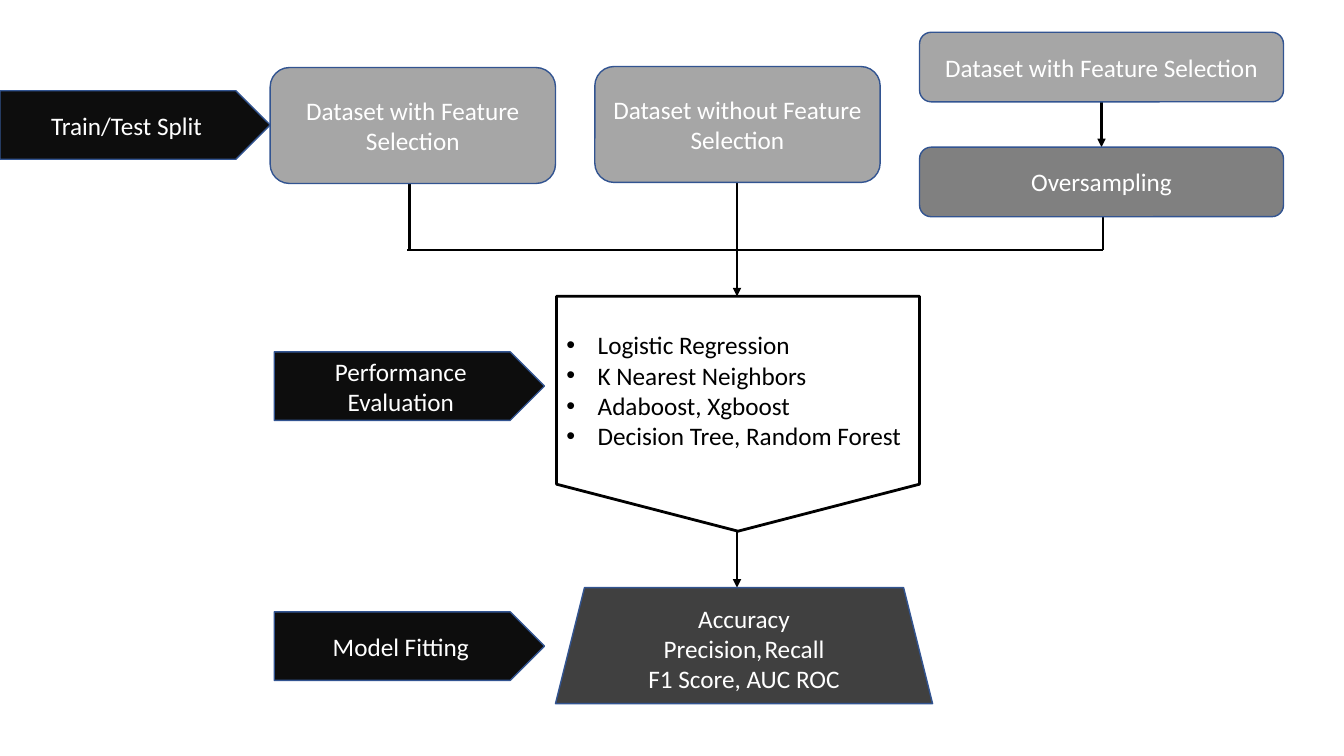
from lxml import etree
from pptx import Presentation
from pptx import util as u
from pptx.dml.color import RGBColor
from pptx.enum import shapes, text
from pptx.oxml.ns import qn

WIDTH, HEIGHT = 13.33, 7.5
COLORS = {"black": "000000", "white": "FFFFFF", "stage": "0D0D0D", "dataset": "A6A6A6",
          "sampling": "808080", "metrics": "404040", "outline": "325491"}
FONT, FONT_SIZE = "Calibri", 18
BULLET_INDENT = 0.31

# Sizes (width, height) in inches
STAGE, DATASET, STRIP = (2.68, 0.68), (2.83, 1.15), (3.61, 0.69)
MODELS, METRICS = (3.6, 2.33), (3.74, 1.15)

# Columns and rows of the flow
MID_X, JOIN_Y = 7.31, 2.48
LEFT_X, RIGHT_X = 4.06, 10.94
DATASET_Y, STRIP_X, STRIP_Y, STRIP_STEP = 0.66, 9.12, 0.32, 1.14
MODELS_Y, METRICS_Y = 2.94, 5.83
STAGE_X = 2.72

KIND = shapes.MSO_SHAPE
# kind, left, top, size, fill, lines of text
BOXES = [
    (KIND.ROUNDED_RECTANGLE, STAGE[0], DATASET_Y + 0.01, DATASET, "dataset",
     ["Dataset with Feature Selection"]),
    (KIND.ROUNDED_RECTANGLE, 5.9, DATASET_Y, DATASET, "dataset",
     ["Dataset without Feature Selection"]),
    (KIND.ROUNDED_RECTANGLE, STRIP_X, STRIP_Y, STRIP, "dataset",
     ["Dataset with Feature Selection"]),
    (KIND.ROUNDED_RECTANGLE, STRIP_X, STRIP_Y + STRIP_STEP, STRIP, "sampling",
     ["Oversampling"]),
    (KIND.TRAPEZOID, 5.51, METRICS_Y, METRICS, "metrics",
     ["Accuracy", "Precision,\tRecall", "F1 Score, AUC ROC"]),
    (KIND.PENTAGON, 0, 0.9, STAGE, "stage", ["Train/Test Split"]),
    (KIND.PENTAGON, STAGE_X, 3.49, STAGE, "stage", ["Performance Evaluation"]),
    (KIND.PENTAGON, STAGE_X, 6.07, STAGE, "stage", ["Model Fitting"]),
]
MODEL_NAMES = ["Logistic Regression", "K Nearest Neighbors", "Adaboost, Xgboost",
               "Decision Tree, Random Forest"]

DATASET_END = DATASET_Y + DATASET[1]
STRIP_MID = STRIP_X + STRIP[0] / 2
# x1, y1, x2, y2, has arrowhead
LINES = [
    (MID_X, 2.31, MID_X, MODELS_Y, True),
    (MID_X, MODELS_Y + MODELS[1], MID_X, METRICS_Y, True),
    (STRIP_MID, STRIP_Y + STRIP[1], STRIP_MID, STRIP_Y + STRIP_STEP, True),
    (LEFT_X, DATASET_END, LEFT_X, JOIN_Y, False),
    (MID_X, DATASET_END, MID_X, JOIN_Y, False),
    (RIGHT_X, STRIP_Y + STRIP_STEP + STRIP[1], RIGHT_X, JOIN_Y, False),
    (RIGHT_X, JOIN_Y, LEFT_X - 0.02, JOIN_Y, False),
]


def rgb(name):
    return RGBColor.from_string(COLORS[name])


def add_line(slide, x1, y1, x2, y2, arrow):
    ln = slide.shapes.add_connector(shapes.MSO_CONNECTOR.STRAIGHT,
                                    *map(u.Inches, (x1, y1, x2, y2)))
    ln.line.color.rgb = rgb("black")
    ln.line.width = u.Pt(2)
    sp_pr = ln._element.spPr
    etree.SubElement(sp_pr, qn("a:effectLst"))
    if arrow:
        etree.SubElement(sp_pr.find(qn("a:ln")), qn("a:tailEnd"), type="triangle")


def add_box(slide, kind, left, top, size, fill, lines, line="outline", line_width=1,
            color="white", align=text.PP_ALIGN.CENTER):
    sp = slide.shapes.add_shape(kind, *map(u.Inches, (left, top, *size)))
    sp.shadow.inherit = False
    sp.fill.solid()
    sp.fill.fore_color.rgb = rgb(fill)
    sp.line.color.rgb = rgb(line)
    sp.line.width = u.Pt(line_width)
    tf = sp.text_frame
    tf.word_wrap = True
    tf.vertical_anchor = text.MSO_ANCHOR.MIDDLE
    tf.text = "\n".join(lines)
    for p in tf.paragraphs:
        p.alignment = align
        for r in p.runs:
            r.font.name, r.font.size = FONT, u.Pt(FONT_SIZE)
            r.font.color.rgb = rgb(color)
    return sp


def add_bullets(sp):
    indent = u.Inches(BULLET_INDENT)
    for p in sp.text_frame.paragraphs:
        p_pr = p._p.get_or_add_pPr()
        p_pr.set("marL", str(indent))
        p_pr.set("indent", str(-indent))
        etree.SubElement(p_pr, qn("a:buFont"), typeface="Arial")
        etree.SubElement(p_pr, qn("a:buChar"), char="•")


def main():
    prs = Presentation()
    prs.slide_width, prs.slide_height = u.Inches(WIDTH), u.Inches(HEIGHT)
    slide = prs.slides.add_slide(prs.slide_layouts[6])
    for line in LINES:
        add_line(slide, *line)
    for box in BOXES:
        add_box(slide, *box)
    models = add_box(slide, KIND.FLOWCHART_OFFPAGE_CONNECTOR, MID_X - MODELS[0] / 2 + 0.01,
                     MODELS_Y, MODELS, "white", MODEL_NAMES, line="black", line_width=2,
                     color="black", align=text.PP_ALIGN.LEFT)
    add_bullets(models)
    prs.save("out.pptx")


if __name__ == "__main__":
    main()
